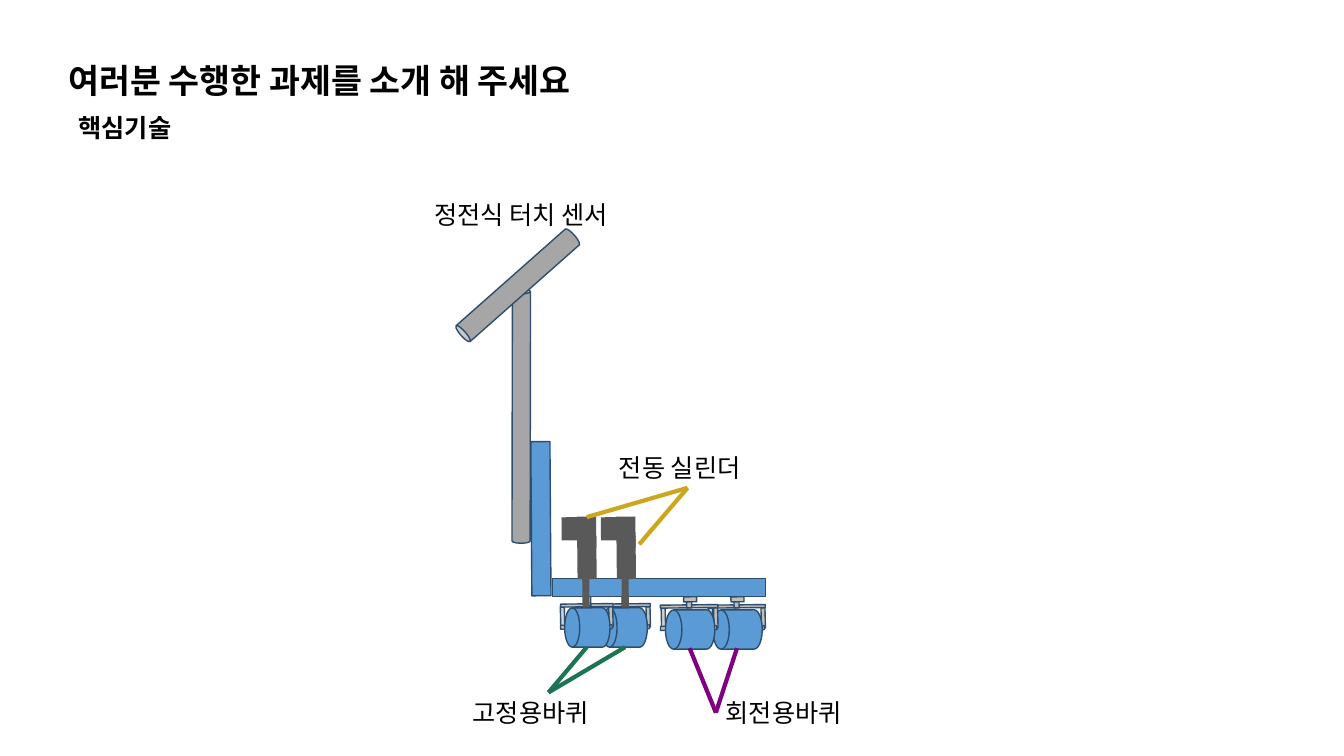
from dataclasses import dataclass

from lxml import etree
from pptx import Presentation
from pptx.dml.color import RGBColor
from pptx.enum.shapes import MSO_CONNECTOR, MSO_SHAPE
from pptx.enum.text import MSO_AUTO_SIZE
from pptx.oxml.ns import qn
from pptx.util import Inches, Pt

RECTANGLE = MSO_SHAPE.RECTANGLE
DRUM = MSO_SHAPE.FLOWCHART_DIRECT_ACCESS_STORAGE
CAN = MSO_SHAPE.CAN
STRAIGHT = MSO_CONNECTOR.STRAIGHT
FIT_SHAPE = MSO_AUTO_SIZE.SHAPE_TO_FIT_TEXT


@dataclass(frozen=True)
class Theme:
    font: str = "Noto Sans CJK KR"
    text: str = "000000"
    outline: str = "2D4D6A"
    body: str = "5B9BD5"
    bracket: str = "BFBFBF"
    bracket_side: str = "D1D1D1"
    handle: str = "A6A6A6"
    cylinder: str = "595959"
    fixed_pointer: str = "1E7452"
    swivel_pointer: str = "800080"
    cylinder_pointer: str = "CEA61D"
    title_size: float = 24
    label_size: float = 18
    outline_width: float = 1
    pointer_width: float = 3


THEME = Theme()


@dataclass(frozen=True)
class Part:
    left: float
    top: float
    width: float
    height: float
    rotation: float
    color: str
    kind: MSO_SHAPE = RECTANGLE
    outlined: bool = True


@dataclass(frozen=True)
class Label:
    text: str
    left: float
    top: float
    width: float
    height: float = 0.4
    size: float = THEME.label_size
    bold: bool = False
    wrap: bool = True


@dataclass(frozen=True)
class Pointer:
    start: tuple[float, float]
    end: tuple[float, float]
    color: str


# Assemblies: left positions are relative to the assembly's own left edge
SWIVEL_WHEEL = (
    Part(0, 6.11, 0.2, 0.04, 268.7, THEME.bracket_side),
    Part(0.07, 6, 0.57, 0.03, 179.4, THEME.bracket),
    Part(0.52, 6.11, 0.2, 0.04, 268.7, THEME.bracket),
    Part(0.07, 6.21, 0.56, 0.04, 179.4, THEME.bracket),
    Part(0.12, 6.05, 0.49, 0.39, 179.9, THEME.body, DRUM),
    Part(0.31, 5.96, 0.09, 0.05, 268.7, THEME.bracket),
    Part(0.34, 5.88, 0.05, 0.13, 268.7, THEME.bracket),
)
FIXED_WHEEL = (
    Part(0, 6.1, 0.2, 0.04, 268.7, THEME.bracket_side),
    Part(0.08, 5.99, 0.52, 0.03, 179.4, THEME.bracket),
    Part(0.48, 6.1, 0.2, 0.04, 268.7, THEME.bracket),
    Part(0.08, 6.2, 0.51, 0.04, 179.4, THEME.bracket),
    Part(0.29, 5.92, 0.12, 0.06, 268.7, THEME.bracket),
    Part(0.12, 6.03, 0.45, 0.39, 179.9, THEME.body, DRUM),
)
ELECTRIC_CYLINDER = (
    Part(0.04, 5.15, 0.23, 0.19, 269.4, THEME.cylinder, outlined=False),
    Part(0.27, 5.3, 0.12, 0.15, 269.4, THEME.cylinder, outlined=False),
    Part(0, 5.34, 0.62, 0.19, 269.4, THEME.cylinder, outlined=False),
    Part(0, 5.69, 0.6, 0.07, 269.4, THEME.cylinder, outlined=False),
)

# Single parts of the cart
UPRIGHT = Part(4.6, 5.05, 1.53, 0.19, 269.6, THEME.body)
BASE = Part(5.48, 5.74, 2.11, 0.18, 0, THEME.body)
HANDLE_POST = Part(5.08, 2.87, 0.18, 2.52, 0.1, THEME.handle, CAN)
HANDLE_GRIP = Part(5.03, 2.08, 0.21, 1.5, 228.5, THEME.handle, CAN)

HEADINGS = (
    Label("여러분 수행한 과제를 소개 해 주세요", 0.58, 0.54, 5.8, 0.49,
          THEME.title_size, bold=True, wrap=False),
    Label("핵심기술", 0.68, 1.07, 1.21, bold=True, wrap=False),
)
LABELS = (
    Label("고정용바퀴", 4.59, 6.87, 1.7),
    Label("회전용바퀴", 7.1, 6.87, 1.7),
    Label("정전식 터치 센서", 4.21, 1.93, 2.14),
    Label("전동 실린더", 6.04, 4.44, 1.57),
)
POINTERS = (
    Pointer((5.82, 6.42), (5.44, 6.87), THEME.fixed_pointer),
    Pointer((6.2, 6.42), (5.44, 6.87), THEME.fixed_pointer),
    Pointer((7.31, 6.43), (7.1, 7.07), THEME.swivel_pointer),
    Pointer((6.84, 6.43), (7.1, 7.07), THEME.swivel_pointer),
    Pointer((6.82, 4.84), (6.34, 5.4), THEME.cylinder_pointer),
    Pointer((6.82, 4.84), (5.82, 5.13), THEME.cylinder_pointer),
)


def rgb(color: str) -> RGBColor:
    return RGBColor.from_string(color)


def draw_part(shapes, part: Part, offset: float = 0) -> None:
    shape = shapes.add_shape(part.kind, Inches(part.left + offset), Inches(part.top),
                             Inches(part.width), Inches(part.height))
    shape.rotation = part.rotation
    shape.shadow.inherit = False
    shape.fill.solid()
    shape.fill.fore_color.rgb = rgb(part.color)
    if part.kind == CAN:
        shape.adjustments[0] = 0.25
    if part.outlined:
        shape.line.color.rgb = rgb(THEME.outline)
        shape.line.width = Pt(THEME.outline_width)
    else:
        shape.line.fill.background()


def draw_assembly(slide, parts: tuple[Part, ...], left: float) -> None:
    group = slide.shapes.add_group_shape()
    for part in parts:
        draw_part(group.shapes, part, left)


def draw_label(slide, label: Label) -> None:
    box = slide.shapes.add_textbox(Inches(label.left), Inches(label.top),
                                   Inches(label.width), Inches(label.height))
    text_frame = box.text_frame
    text_frame.word_wrap = label.wrap
    text_frame.auto_size = FIT_SHAPE
    text_frame.text = label.text
    run = text_frame.paragraphs[0].runs[0]
    run.font.size = Pt(label.size)
    run.font.bold = label.bold
    run.font.color.rgb = rgb(THEME.text)
    run.font.name = THEME.font
    # Korean text takes its font from the East Asian slot
    properties = run._r.get_or_add_rPr()
    etree.SubElement(properties, qn("a:ea"), typeface=THEME.font)


def draw_pointer(slide, pointer: Pointer) -> None:
    start_x, start_y = map(Inches, pointer.start)
    end_x, end_y = map(Inches, pointer.end)
    line = slide.shapes.add_connector(STRAIGHT, start_x, start_y, end_x, end_y)
    line.line.color.rgb = rgb(pointer.color)
    line.line.width = Pt(THEME.pointer_width)
    etree.SubElement(line._element.spPr, qn("a:effectLst"))


def main() -> None:
    presentation = Presentation()
    presentation.slide_width = Inches(13.33)
    presentation.slide_height = Inches(7.5)
    slide = presentation.slides.add_slide(presentation.slide_layouts[6])

    # Headings
    for heading in HEADINGS:
        draw_label(slide, heading)

    # Cart frame and wheels; the left wheel of each pair is in front
    draw_part(slide.shapes, UPRIGHT)
    for left in (6.95, 6.48):
        draw_assembly(slide, SWIVEL_WHEEL, left)
    for left in (5.85, 5.48):
        draw_assembly(slide, FIXED_WHEEL, left)
    draw_part(slide.shapes, BASE)

    # Electric cylinders and handle
    for left in (5.51, 5.9):
        draw_assembly(slide, ELECTRIC_CYLINDER, left)
    for part in (HANDLE_POST, HANDLE_GRIP):
        draw_part(slide.shapes, part)

    # Labels and their pointers
    for label in LABELS:
        draw_label(slide, label)
    for pointer in POINTERS:
        draw_pointer(slide, pointer)

    presentation.save("out.pptx")


if __name__ == "__main__":
    main()
